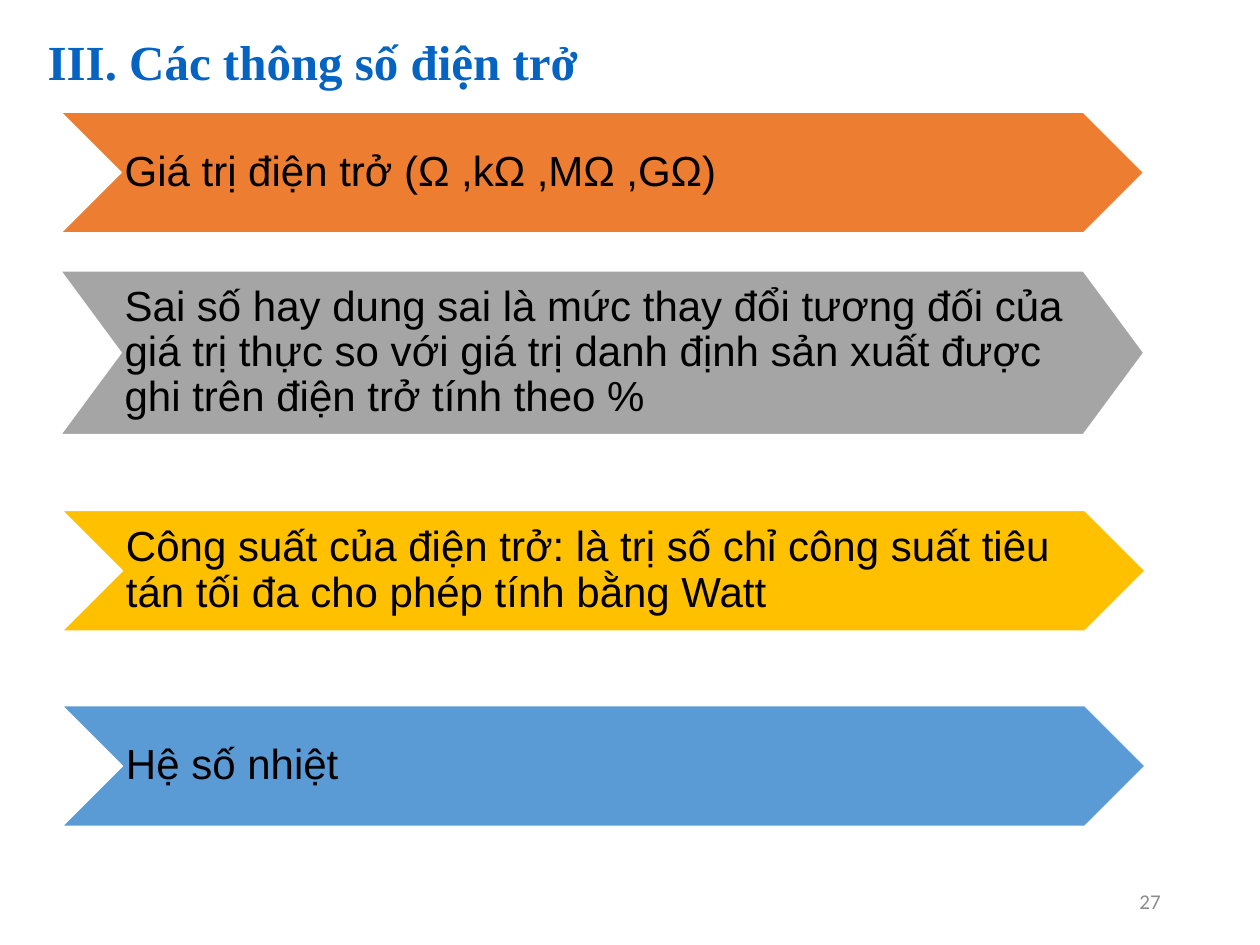
"""Build the slide on the parameters of a resistor."""
from pptx import Presentation
from pptx.dml.color import RGBColor
from pptx.enum.text import MSO_ANCHOR, PP_ALIGN
from pptx.util import Inches, Pt


def paint(hue):
    return RGBColor.from_string(hue)


def write(shape, text, font="Arial", size=24, hue="000000", bold=False,
          align=PP_ALIGN.LEFT, anchor=MSO_ANCHOR.MIDDLE, wrap=True,
          pad=(0.1, 0.05, 0.1, 0.05), lead=0.9, above=0):
    frame = shape.text_frame
    frame.word_wrap = wrap
    frame.vertical_anchor = anchor
    (frame.margin_left, frame.margin_top,
     frame.margin_right, frame.margin_bottom) = [Inches(side) for side in pad]
    para = frame.paragraphs[0]
    para.alignment = align
    para.line_spacing = lead
    para.space_before = Pt(above)
    run = para.add_run()
    run.text = text
    run.font.name = font
    run.font.size = Pt(size)
    run.font.bold = bold
    run.font.color.rgb = paint(hue)


deck = Presentation()
deck.slide_width = Inches(10)
deck.slide_height = Inches(7.5)
slide = deck.slides.add_slide(deck.slide_layouts[6])
shapes = slide.shapes

width = 8.6
notch = 0.48
bands = [
    (0.48, 0.89, 0.96, "ED7D31", "Giá trị điện trở (Ω ,kΩ ,MΩ ,GΩ)"),
    (0.48, 2.15, 1.3, "A5A5A5",
     "Sai số hay dung sai là mức thay đổi tương đối của giá trị thực so với "
     "giá trị danh định sản xuất được ghi trên điện trở tính theo %"),
    (0.49, 4.05, 0.96, "FFC000",
     "Công suất của điện trở: là trị số chỉ công suất tiêu tán tối đa "
     "cho phép tính bằng Watt"),
    (0.49, 5.6, 0.96, "5B9BD5", "Hệ số nhiệt"),
]

for left, top, height, hue, text in bands:
    right = left + width
    mid = top + height / 2
    low = top + height
    points = [(left, top), (right - notch, top), (right, mid),
              (right - notch, low), (left, low), (left + notch, mid)]
    spots = [(Inches(x), Inches(y)) for x, y in points]
    pen = shapes.build_freeform(*spots[0])
    pen.add_line_segments(spots[1:], close=True)
    band = pen.convert_to_shape()
    band.shadow.inherit = False
    band.fill.solid()
    band.fill.fore_color.rgb = paint(hue)
    band.line.color.rgb = paint("FFFFFF")
    band.line.width = Pt(1)
    write(band, text, pad=(0.51, 0.02, notch, 0.02))

title = shapes.add_textbox(Inches(0.28), Inches(0.25), Inches(4.63), Inches(0.53))
write(title, "III. Các thông số điện trở", font="Times New Roman", size=28,
      hue="0563C1", bold=True, anchor=MSO_ANCHOR.TOP, wrap=False, above=2)

number = shapes.add_textbox(Inches(7.06), Inches(6.95), Inches(2.25), Inches(0.4))
write(number, "27", font="Calibri", size=12, hue="8C8C8C",
      align=PP_ALIGN.RIGHT, lead=1.0)

deck.save("out.pptx")
